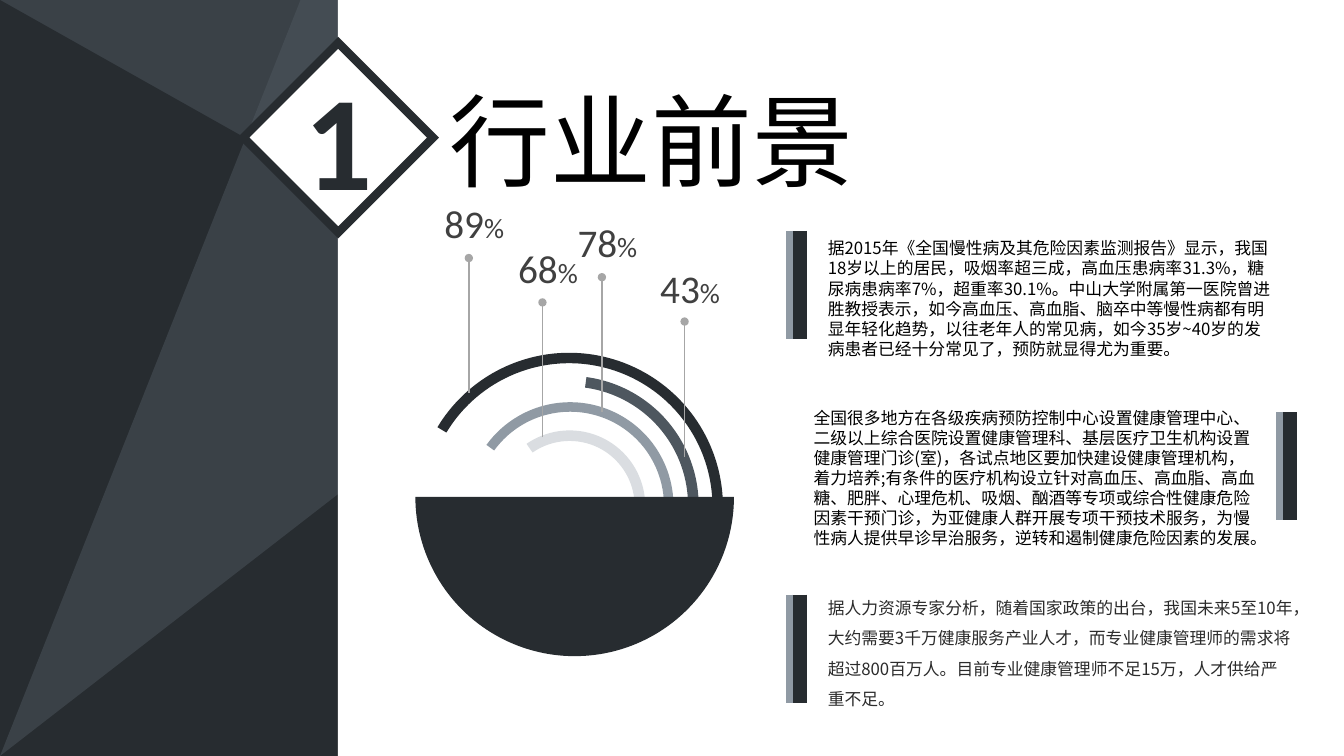
from lxml import etree
from pptx import Presentation
from pptx.dml.color import RGBColor
from pptx.enum import shapes, text
from pptx.oxml import ns
from pptx.util import Inches, Pt

HUES = {
    "panel": "3A4147", "dark": "272C30", "slate": "4E575F", "steel": "909AA4",
    "pale": "DADDE1", "white": "FFFFFF", "black": "000000", "ink": "2B2B2B",
    "label": "404040", "stem": "A6A6A6",
}
CJK = "Noto Sans CJK SC"
KIND = shapes.MSO_SHAPE
TONE = {name: RGBColor.from_string(code) for name, code in HUES.items()}


def write(box, runs, font, tone, space=1.0, grow=True):
    frame = box.text_frame
    frame.word_wrap = True
    frame.vertical_anchor = text.MSO_ANCHOR.TOP
    fit = text.MSO_AUTO_SIZE
    frame.auto_size = fit.SHAPE_TO_FIT_TEXT if grow else fit.NONE
    para = frame.paragraphs[0]
    para.alignment = text.PP_ALIGN.LEFT
    para.line_spacing = space
    para.space_before = Pt(0)
    for words, size in runs:
        run = para.add_run()
        run.text = words
        run.font.size = Pt(size)
        run.font.name = font
        run.font.color.rgb = TONE[tone]
        face = etree.SubElement(run.font._element, ns.qn("a:ea"))
        face.set("typeface", font)
    return para


def draw(x, top, end, tone, width):
    line = slide.shapes.add_connector(
        shapes.MSO_CONNECTOR.STRAIGHT, Inches(x), Inches(top), Inches(x), Inches(end))
    line.line.color.rgb = TONE[tone]
    line.line.width = Pt(width)
    etree.SubElement(line._element.spPr, ns.qn("a:effectLst"))
    return line


deck = Presentation()
deck.slide_width, deck.slide_height = Inches(13.33), Inches(7.5)
slide = deck.slides.add_slide(deck.slide_layouts[1])
slide.background.fill.solid()
slide.background.fill.fore_color.rgb = TONE["panel"]
title, number = slide.placeholders

wedge = slide.shapes.add_shape(KIND.ISOSCELES_TRIANGLE, 0, 0, Inches(13.33), Inches(7.5))
wedge.adjustments[0] = 0
pen = slide.shapes.build_freeform(Inches(9.68), 0)
pen.add_line_segments([(Inches(2.98), 0), (0, Inches(7.5))], close=True)
facet = pen.convert_to_shape()
sheet = slide.shapes.add_shape(KIND.RECTANGLE, Inches(3.35), 0, Inches(9.98), Inches(7.5))
badge = slide.shapes.add_shape(
    KIND.RECTANGLE, Inches(2.69), Inches(0.7), Inches(1.33), Inches(1.33))
badge.rotation = 315
for shape, tone in [(wedge, "dark"), (facet, "slate"), (sheet, "white"), (badge, "white")]:
    shape.shadow.inherit = False
    shape.fill.solid()
    shape.fill.fore_color.rgb = TONE[tone]
    shape.line.fill.background()
shade = facet._element.spPr.find(".//" + ns.qn("a:srgbClr"))
etree.SubElement(shade, ns.qn("a:alpha")).set("val", "50000")
badge.line.color.rgb = TONE["dark"]
badge.line.width = Pt(6)
etree.SubElement(badge.line._get_or_add_ln(), ns.qn("a:miter")).set("lim", "800000")

for kind, x, y, size, tone, bends in [
    (KIND.BLOCK_ARC, 4.9, 4.27, 1.5, "pale", (141.17, 213.69, 0.07)),
    (KIND.BLOCK_ARC, 4.63, 3.99, 2.05, "steel", (129.57, 213.81, 0.046)),
    (KIND.BLOCK_ARC, 4.36, 3.73, 2.57, "slate", (166.62, 213.83, 0.041)),
    (KIND.BLOCK_ARC, 4.12, 3.5, 3.05, "dark", (126.63, 213.87, 0.034)),
    (KIND.PIE, 4.12, 3.35, 3.16, "dark", (0, 107.98)),
]:
    arc = slide.shapes.add_shape(kind, Inches(x), Inches(y), Inches(size), Inches(size))
    for i, bend in enumerate(bends):
        arc.adjustments[i] = bend
    arc.shadow.inherit = False
    arc.fill.solid()
    arc.fill.fore_color.rgb = TONE[tone]
    arc.line.fill.background()

for bar, top, x, y, wide, high, tone, space, words in [
    (7.93, 2.29, 8.14, 2.32, 4.54, 1.49, "black", 1.0,
     "据2015年《全国慢性病及其危险因素监测报告》显示，我国18岁以上的居民，吸烟率超三成，高血压患病率31.3%，糖尿病患病率7%，超重率30.1%。中山大学附属第一医院曾进胜教授表示，如今高血压、高血脂、脑卒中等慢性病都有明显年轻化趋势，以往老年人的常见病，如今35岁~40岁的发病患者已经十分常见了，预防就显得尤为重要。"),
    (12.79, 4.09, 8, 4, 4.54, 1.49, "black", 1.0,
     "全国很多地方在各级疾病预防控制中心设置健康管理中心、二级以上综合医院设置健康管理科、基层医疗卫生机构设置健康管理门诊(室)，各试点地区要加快建设健康管理机构，着力培养;有条件的医疗机构设立针对高血压、高血脂、高血糖、肥胖、心理危机、吸烟、酗酒等专项或综合性健康危险因素干预门诊，为亚健康人群开展专项干预技术服务，为慢性病人提供早诊早治服务，逆转和遏制健康危险因素的发展。"),
    (7.93, 5.9, 8.14, 5.79, 4.76, 1.29, "ink", 1.5,
     "据人力资源专家分析，随着国家政策的出台，我国未来5至10年，大约需要3千万健康服务产业人才，而专业健康管理师的需求将超过800百万人。目前专业健康管理师不足15万，人才供给严重不足。"),
]:
    draw(bar, top, top + 1.07, "dark", 10)
    draw(bar - 0.1, top, top + 1.07, "steel", 5)
    box = slide.shapes.add_textbox(Inches(x), Inches(y), Inches(wide), Inches(high))
    frame = box.text_frame
    frame.margin_left = frame.margin_right = Inches(0.07)
    frame.margin_top = frame.margin_bottom = Inches(0.04)
    write(box, [(words, 12)], CJK, tone, space)

for value, x, dot, top in [
    ("68", 5.38, 3, 2.37), ("78", 5.97, 2.75, 2.12),
    ("43", 6.79, 3.19, 2.57), ("89", 4.65, 2.56, 1.93),
]:
    stem = draw(x, dot + 1.34, dot, "stem", 1)
    etree.SubElement(stem.line._get_or_add_ln(), ns.qn("a:tailEnd")).set("type", "oval")
    box = slide.shapes.add_textbox(
        Inches(x - 0.34), Inches(top), Inches(0.97), Inches(0.57))
    write(box, [(value, 28), ("%", 20)], "Calibri", "label")

for box, x, y, wide, high in [
    (number, 2.71, 0.69, 1.29, 1.62), (title, 4.36, 0.37, 4.24, 1.68),
]:
    box.left, box.top = Inches(x), Inches(y)
    box.width, box.height = Inches(wide), Inches(high)
    slide.shapes._spTree.append(box._element)
para = write(number, [("1", 96)], "Calibri", "dark", 0.9, False)
rule = para._p.get_or_add_pPr()
rule.set("marL", "0")
rule.set("indent", "0")
etree.SubElement(rule, ns.qn("a:buNone"))
para.alignment = text.PP_ALIGN.CENTER
para.runs[0].font.bold = True
write(title, [("行业前景", 72)], CJK, "black", 1.3)
title.text_frame.word_wrap = False
deck.save("out.pptx")
